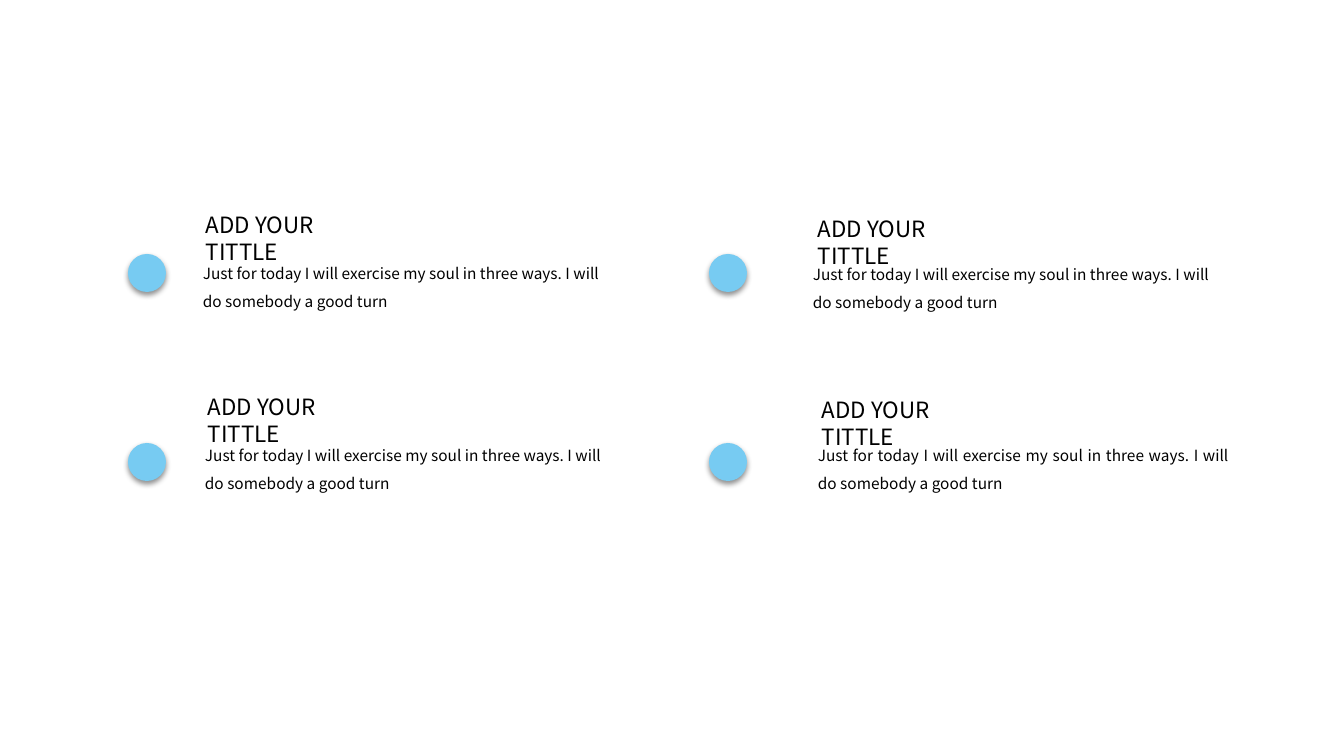
from lxml.etree import SubElement
from pptx import Presentation
from pptx.dml.color import RGBColor
from pptx.enum.shapes import MSO_SHAPE
from pptx.enum.text import MSO_AUTO_SIZE, PP_ALIGN
from pptx.oxml.ns import qn
from pptx.util import Emu, Pt

BLACK = RGBColor(0x00, 0x00, 0x00)
SKY_BLUE = RGBColor(0x77, 0xCB, 0xF2)
FONT = "Noto Sans CJK SC"
PX_PER_INCH = 100.8

TITLE = "ADD YOUR TITTLE"
BODY = "Just for today I will exercise my soul in three ways. I will do somebody a good turn"


def px(length):
    return Emu(round(length * 914400 / PX_PER_INCH))


def add_text(text, left, top, width, height, size, spacing=None, align=PP_ALIGN.LEFT):
    box = slide.shapes.add_textbox(px(left), px(top), px(width), px(height))
    frame = box.text_frame
    frame.word_wrap = True
    frame.auto_size = MSO_AUTO_SIZE.SHAPE_TO_FIT_TEXT
    paragraph = frame.paragraphs[0]
    paragraph.alignment = align
    paragraph.line_spacing = spacing
    run = paragraph.add_run()
    run.text = text
    run.font.size = Pt(size)
    run.font.name = FONT
    run.font.color.rgb = BLACK


presentation = Presentation()
presentation.slide_width = px(1344)
presentation.slide_height = px(756)
slide = presentation.slides.add_slide(presentation.slide_layouts[6])

# Title and body of each item: title left and top, body left and top, body alignment
items = [
    (808, 210, 803, 251, PP_ALIGN.LEFT),
    (198, 388, 195, 432, PP_ALIGN.LEFT),
    (812, 391, 808, 432, PP_ALIGN.JUSTIFY),
    (196, 206, 193, 250, PP_ALIGN.LEFT),
]
for title_left, title_top, body_left, body_top, body_align in items:
    add_text(TITLE, title_left, title_top, 190, 37, size=16)
    add_text(BODY, body_left, body_top, 431, 61, size=11, spacing=1.5, align=body_align)

# Bullet circles with a soft shadow below
for left in (128, 709):
    for top in (254, 443):
        circle = slide.shapes.add_shape(MSO_SHAPE.OVAL, px(left), px(top), px(38), px(38))
        circle.fill.solid()
        circle.fill.fore_color.rgb = SKY_BLUE
        circle.line.fill.background()
        circle.shadow.inherit = False
        effects = circle.element.spPr.find(qn("a:effectLst"))
        shadow = SubElement(effects, qn("a:outerShdw"), blurRad=str(Pt(4)),
                            dist=str(Pt(2)), dir="5400000", rotWithShape="0")
        color = SubElement(shadow, qn("a:srgbClr"), val=str(BLACK))
        SubElement(color, qn("a:alpha"), val="43000")

presentation.save("out.pptx")
